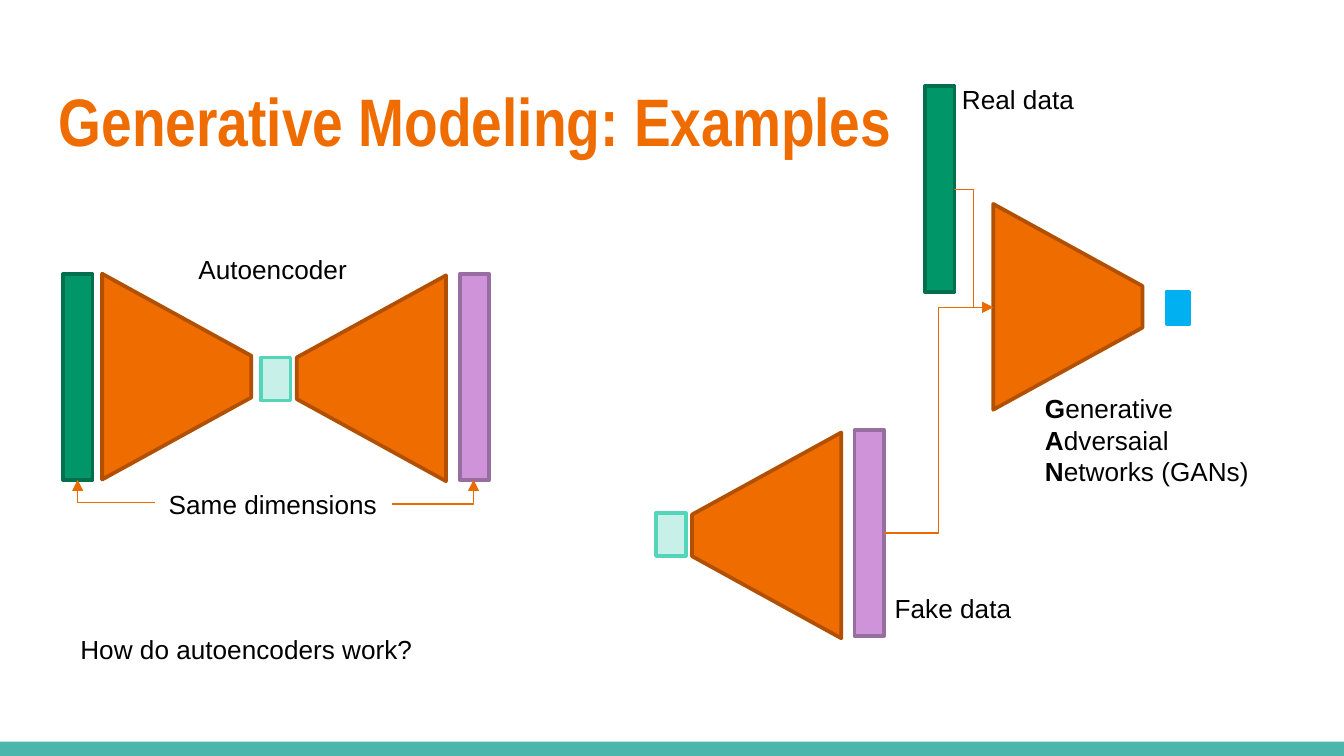
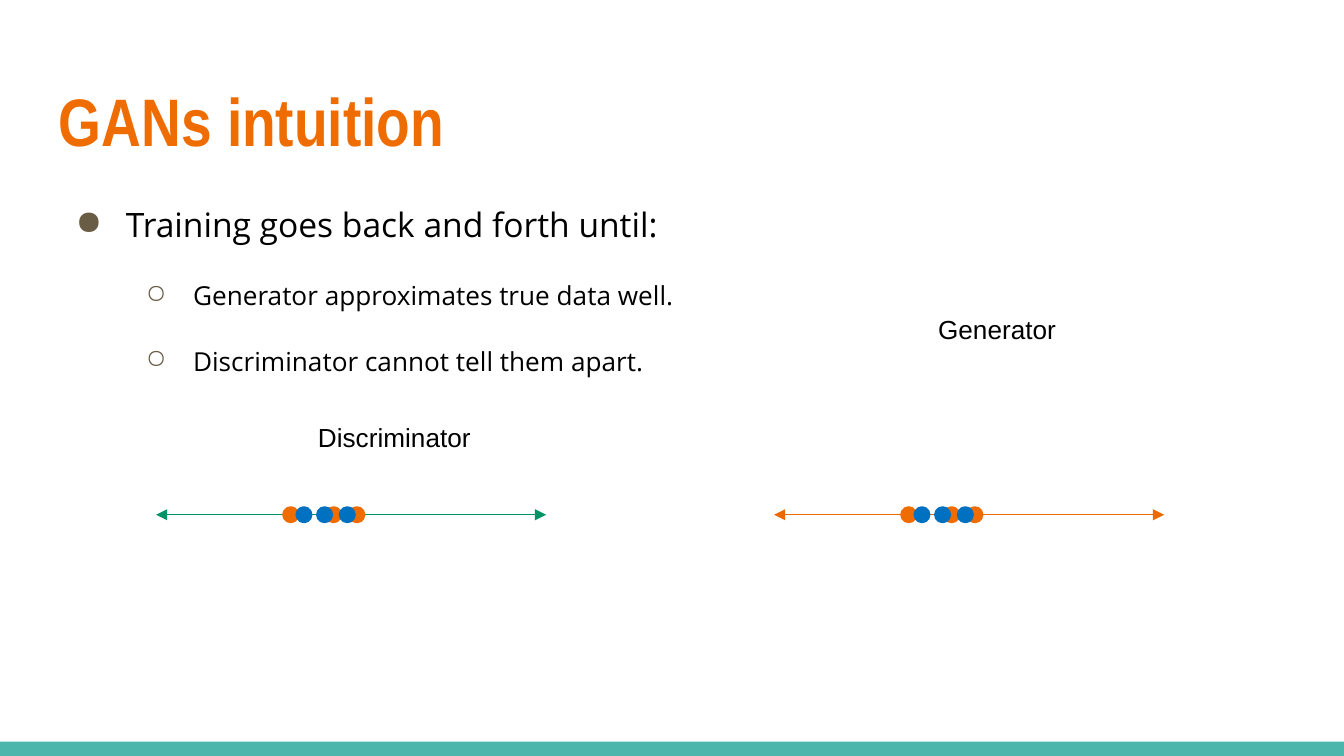
from dataclasses import dataclass

from lxml.etree import SubElement
from pptx import Presentation
from pptx.dml.color import RGBColor
from pptx.enum.shapes import MSO_CONNECTOR as Line, MSO_SHAPE as Preset
from pptx.enum.text import MSO_ANCHOR as Anchor, MSO_AUTO_SIZE as AutoSize, PP_ALIGN as Align
from pptx.oxml.ns import qn
from pptx.util import Cm, Pt


def rgb(code):
    return RGBColor.from_string(code)


@dataclass(frozen=True)
class Theme:
    orange: RGBColor = rgb("EF6C00")
    orange_edge: RGBColor = rgb("B15000")
    arrow: RGBColor = rgb("EA6A00")
    green: RGBColor = rgb("009668")
    green_edge: RGBColor = rgb("006F4D")
    green_axis: RGBColor = rgb("009366")
    purple: RGBColor = rgb("CE93D8")
    purple_edge: RGBColor = rgb("986DA0")
    mint: RGBColor = rgb("C7F1E8")
    mint_edge: RGBColor = rgb("52D5B9")
    sky: RGBColor = rgb("00B0F0")
    blue: RGBColor = rgb("0070C0")
    band: RGBColor = rgb("4DB6AC")
    ink: RGBColor = rgb("000000")
    bullet: str = "695D46"
    title_font: str = "Arial Narrow"
    body_font: str = "Open Sans"
    label_font: str = "Arial"
    title_size: int = 36
    body_size: int = 18
    label_size: int = 14
    edge_width: float = 2
    line_width: float = 0.75
    inset: float = 0.25


SLIDE_WIDTH, SLIDE_HEIGHT = 25.4, 14.29
MARGIN, CONTENT_WIDTH = 0.86, 23.67
BAND_HEIGHT = 0.27
LABEL_HEIGHT = 0.86
BAR_WIDTH, BAR_HEIGHT = 0.56, 3.89
CODE_HEIGHT = 0.81
NETWORK_DEPTH = 2.82
AXIS_LENGTH, AXIS_TOP, DOT_SIZE = 7.37, 9.73, 0.25
REAL_DOTS = (2.42, 3.23, 3.67)
FAKE_DOTS = (2.67, 3.06, 3.49)


def write(paragraph, text, font, size, color, bold=False):
    run = paragraph.add_run()
    run.text = text
    run.font.name = font
    run.font.size = Pt(size)
    run.font.color.rgb = color
    run.font.bold = bold


def set_insets(frame, inset):
    frame.margin_left = frame.margin_right = Cm(inset)
    frame.margin_top = frame.margin_bottom = Cm(inset)


class Deck:
    def __init__(self, theme):
        self.theme = theme
        self.presentation = Presentation()
        self.presentation.slide_width = Cm(SLIDE_WIDTH)
        self.presentation.slide_height = Cm(SLIDE_HEIGHT)
        self.slide = None
        self.shapes = None

    def add_slide(self, title):
        theme = self.theme
        layout = self.presentation.slide_layouts[5]
        self.slide = self.presentation.slides.add_slide(layout)
        self.leave_group()
        self.shape(Preset.RECTANGLE, 0, SLIDE_HEIGHT - BAND_HEIGHT, SLIDE_WIDTH, BAND_HEIGHT, theme.band)
        holder = self.slide.shapes.title
        holder.left, holder.top = Cm(MARGIN), Cm(1.24)
        holder.width, holder.height = Cm(CONTENT_WIDTH), Cm(1.96)
        frame = holder.text_frame
        frame.auto_size = AutoSize.NONE
        frame.vertical_anchor = Anchor.TOP
        set_insets(frame, theme.inset)
        paragraph = frame.paragraphs[0]
        paragraph.alignment = Align.LEFT
        write(paragraph, title, theme.title_font, theme.title_size, theme.orange, bold=True)

    def enter_group(self):
        """Send the elements that follow into a new group."""
        self.shapes = self.slide.shapes.add_group_shape().shapes

    def leave_group(self):
        self.shapes = self.slide.shapes

    def shape(self, preset, left, top, width, height, fill, edge=None):
        shape = self.shapes.add_shape(preset, Cm(left), Cm(top), Cm(width), Cm(height))
        shape.shadow.inherit = False
        shape.fill.solid()
        shape.fill.fore_color.rgb = fill
        if edge is None:
            shape.line.fill.background()
        else:
            shape.line.color.rgb = edge
            shape.line.width = Pt(self.theme.edge_width)
        return shape

    def network(self, center_x, center_y, rotation):
        """Draw a trapezoid that narrows to the right (90) or to the left (270)."""
        shape = self.shape(Preset.TRAPEZOID, center_x - BAR_HEIGHT / 2, center_y - NETWORK_DEPTH / 2,
                           BAR_HEIGHT, NETWORK_DEPTH, self.theme.orange, self.theme.orange_edge)
        shape.adjustments[0] = 0.55
        shape.rotation = rotation

    def real_bar(self, left, top):
        self.shape(Preset.RECTANGLE, left, top, BAR_WIDTH, BAR_HEIGHT, self.theme.green, self.theme.green_edge)

    def fake_bar(self, left, top):
        self.shape(Preset.RECTANGLE, left, top, BAR_WIDTH, BAR_HEIGHT, self.theme.purple, self.theme.purple_edge)

    def code(self, left, top):
        """Draw the small latent vector."""
        self.shape(Preset.RECTANGLE, left, top, BAR_WIDTH, CODE_HEIGHT, self.theme.mint, self.theme.mint_edge)

    def arrow(self, start, end, color, kind=Line.ELBOW, ends=("tailEnd",), single_bend=False):
        connector = self.shapes.add_connector(kind, *map(Cm, start + end))
        connector.line.color.rgb = color
        connector.line.width = Pt(self.theme.line_width)
        properties = connector._element.spPr
        if single_bend:
            properties.find(qn("a:prstGeom")).set("prst", "bentConnector2")
        for name in ends:
            SubElement(properties.find(qn("a:ln")), qn(f"a:{name}"), type="triangle")
        SubElement(properties, qn("a:effectLst"))

    def label(self, *lines, left, top, width, height=LABEL_HEIGHT, bold_initial=False):
        theme = self.theme
        frame = self.shapes.add_textbox(Cm(left), Cm(top), Cm(width), Cm(height)).text_frame
        frame.word_wrap = False
        frame.auto_size = AutoSize.SHAPE_TO_FIT_TEXT
        style = dict(font=theme.label_font, size=theme.label_size, color=theme.ink)
        for index, line in enumerate(lines):
            paragraph = frame.add_paragraph() if index else frame.paragraphs[0]
            if bold_initial:
                write(paragraph, line[0], bold=True, **style)
                line = line[1:]
            write(paragraph, line, **style)

    def bullets(self, items, left, top, width, height):
        """Write (level, text) pairs as a bulleted list."""
        theme = self.theme
        frame = self.shapes.add_textbox(Cm(left), Cm(top), Cm(width), Cm(height)).text_frame
        frame.word_wrap = True
        set_insets(frame, theme.inset)
        for index, (level, text) in enumerate(items):
            paragraph = frame.add_paragraph() if index else frame.paragraphs[0]
            paragraph.level = level
            paragraph.line_spacing = 1.15
            paragraph.space_before = Pt(16 if level else 0)
            write(paragraph, text, theme.body_font, theme.label_size if level else theme.body_size, theme.ink)
            properties = paragraph._p.get_or_add_pPr()
            properties.set("marL", str(Cm(1.27 * (level + 1))))
            properties.set("indent", str(-Cm(0.89 if level else 0.95)))
            color = SubElement(properties, qn("a:buClr"))
            SubElement(color, qn("a:srgbClr"), val=theme.bullet)
            SubElement(properties, qn("a:buChar"), char="○" if level else "●")

    def data_axis(self, left, color):
        """Draw a two-headed axis with real and generated samples on it."""
        self.arrow((left, AXIS_TOP), (left + AXIS_LENGTH, AXIS_TOP), color,
                   kind=Line.STRAIGHT, ends=("headEnd", "tailEnd"))
        for offsets, fill in ((REAL_DOTS, self.theme.orange), (FAKE_DOTS, self.theme.blue)):
            for offset in offsets:
                self.shape(Preset.OVAL, left + offset, AXIS_TOP - DOT_SIZE / 2, DOT_SIZE, DOT_SIZE, fill, fill)


def add_examples_slide(deck):
    theme = deck.theme
    deck.add_slide("Generative Modeling: Examples")

    deck.enter_group()
    deck.network(3.34, 7.12, 90)
    deck.network(7.02, 7.15, 270)
    deck.real_bar(1.19, 5.18)
    deck.fake_bar(8.69, 5.18)
    deck.code(4.93, 6.76)
    deck.leave_group()
    deck.label("Autoencoder", left=3.5, top=4.67, width=3.33)
    deck.label("Same dimensions", left=2.94, top=9.1, width=4.47)
    deck.arrow((2.94, 9.5), (1.47, 9.07), theme.arrow, single_bend=True)
    deck.arrow((7.41, 9.53), (8.95, 9.07), theme.arrow, single_bend=True)
    deck.label("How do autoencoders work?", left=1.27, top=11.84, width=6.81)

    deck.enter_group()
    deck.network(14.49, 10.12, 270)
    deck.fake_bar(16.15, 8.13)
    deck.code(12.4, 9.7)
    deck.leave_group()
    deck.network(20.18, 5.8, 90)
    deck.shape(Preset.RECTANGLE, 22.05, 5.51, 0.43, 0.61, theme.sky, theme.sky)
    deck.real_bar(17.48, 1.63)
    discriminator_input = (18.77, 5.81)
    deck.arrow((16.7, 10.08), discriminator_input, theme.arrow)
    deck.arrow((18.03, 3.58), discriminator_input, theme.arrow)
    deck.label("Real data", left=17.93, top=1.45, width=2.64)
    deck.label("Fake data", left=16.66, top=11.08, width=2.72)
    deck.label("Generative", "Adversaial", "Networks (GANs)",
               left=19.5, top=7.3, width=4.4, height=2.06, bold_initial=True)


def add_intuition_slide(deck):
    theme = deck.theme
    deck.add_slide("GANs intuition")
    deck.bullets([
        (0, "Training goes back and forth until:"),
        (1, "Generator approximates true data well."),
        (1, "Discriminator cannot tell them apart."),
    ], MARGIN, 3.5, CONTENT_WIDTH, 9.17)

    deck.enter_group()
    deck.data_axis(14.63, theme.arrow)
    deck.label("Generator", left=17.48, top=5.79, width=2.74)
    deck.enter_group()
    deck.data_axis(2.95, theme.green_axis)
    deck.label("Discriminator", left=5.76, top=7.85, width=3.4)


def main():
    deck = Deck(Theme())
    add_examples_slide(deck)
    add_intuition_slide(deck)
    deck.presentation.save("out.pptx")


if __name__ == "__main__":
    main()
